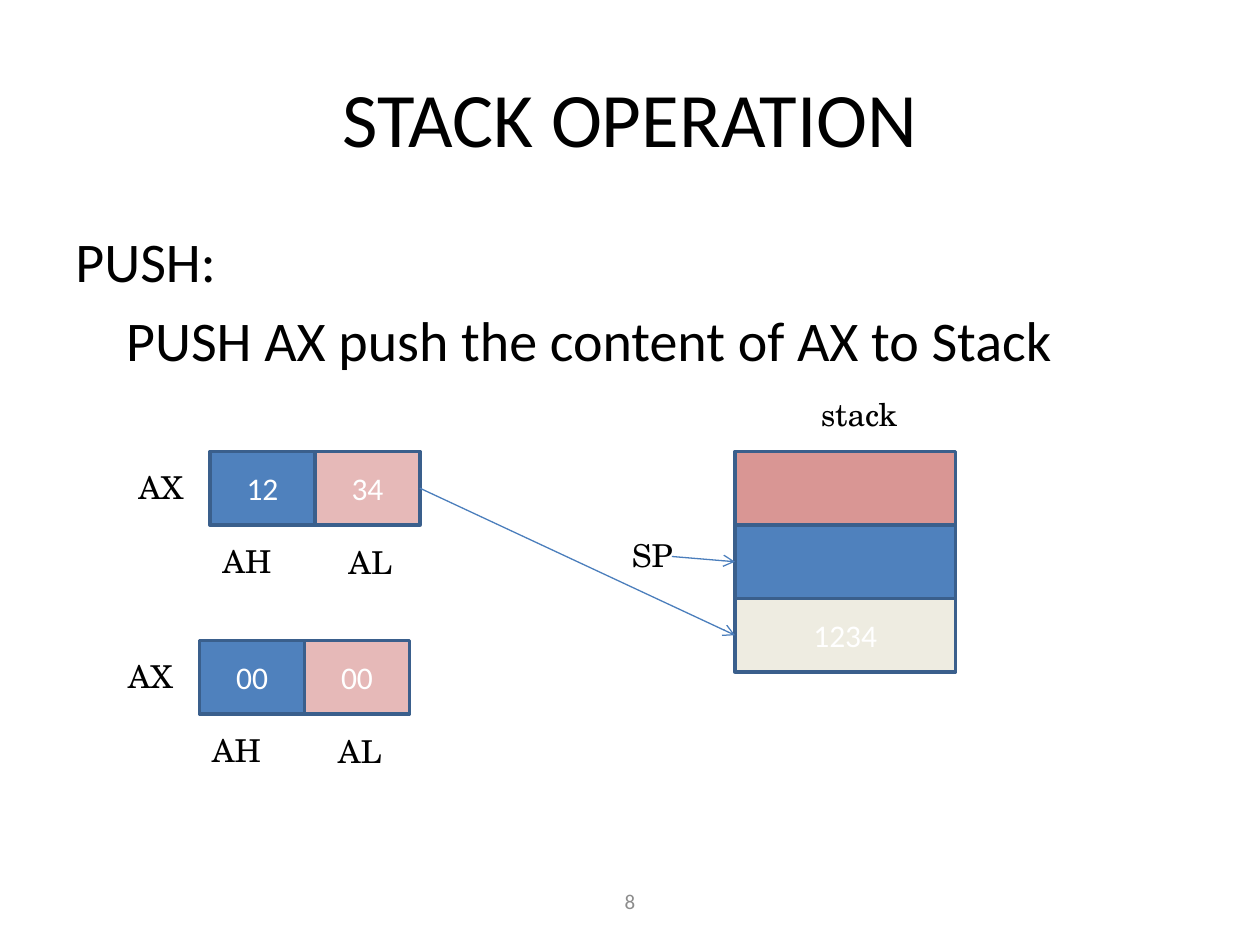
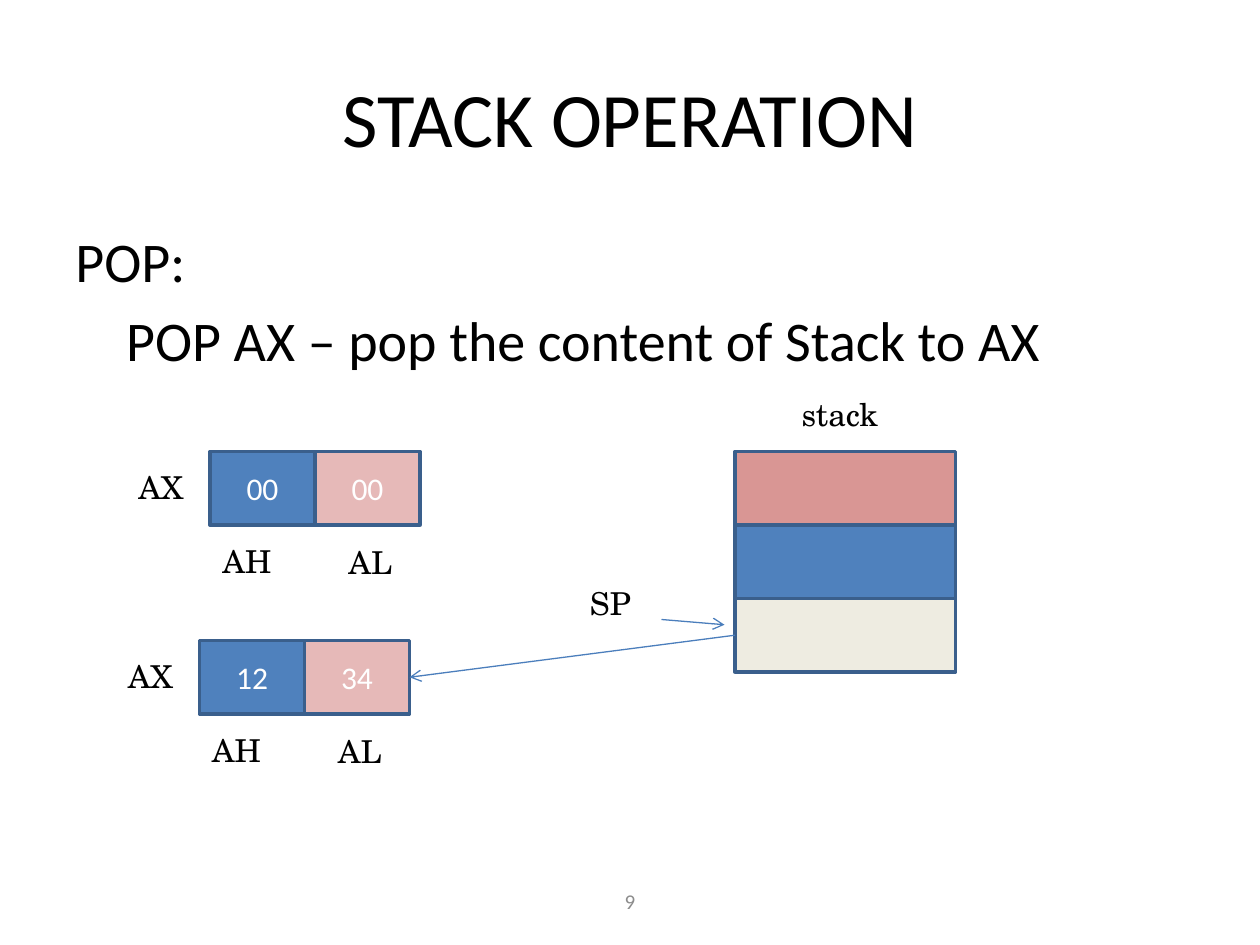
from lxml import etree
from pptx import Presentation
from pptx.dml.color import RGBColor
from pptx.enum import shapes, text
from pptx.oxml.ns import qn
from pptx.util import Pt

BLUE, PINK, ROSE, CREAM = "4F81BD", "E6B9B8", "D99694", "EEECE1"
EDGE, ARROW, BLACK, WHITE, GREY = "3A5F8C", "4B7EBC", "000000", "FFFFFF", "8C8C8C"
SANS, SERIF = "Calibri", "TeX Gyre Schola"
CELL_W, CELL_H, STACK_W = 60, 42, 126
STACK_X, TOP = 420, 258
REGISTERS = [(120, TOP), (114, 366)]

# What differs between the slides: arrows are (x1, y1, x2, y2)
SLIDES = [
    dict(number="8", body=["PUSH:", "PUSH AX push the content of AX to Stack"],
         registers=[("12", "34"), ("00", "00")], stack=["", "", "1234"],
         stack_label_x=462, sp_at=(354, 303),
         arrows=[(240, 279, 420, 363), (384, 318, 420, 321)]),
    dict(number="9", body=["POP:", "POP AX – pop the content of Stack to AX"],
         registers=[("00", "00"), ("12", "34")], stack=["", "", ""],
         stack_label_x=451, sp_at=(330, 330),
         arrows=[(378, 354, 414, 357), (420, 363, 234, 387)]),
]


def rgb(value):
    return RGBColor.from_string(value)


def add_text(s, lines, x, y, w, h, size=18, font=SERIF, color=BLACK,
             align=text.PP_ALIGN.LEFT, anchor=text.MSO_ANCHOR.TOP, fill=None):
    """Add a text box, or an outlined cell when a fill is given."""
    box = Pt(x), Pt(y), Pt(w), Pt(h)
    if fill:
        sp = s.shapes.add_shape(shapes.MSO_SHAPE.RECTANGLE, *box)
        sp.shadow.inherit = False
        sp.fill.solid()
        sp.fill.fore_color.rgb = rgb(fill)
        sp.line.color.rgb = rgb(EDGE)
        sp.line.width = Pt(2)
    else:
        sp = s.shapes.add_textbox(*box)
    tf = sp.text_frame
    tf.word_wrap = True
    tf.vertical_anchor = anchor
    tf.text = lines
    for p in tf.paragraphs:
        p.alignment = align
        p.font.size = Pt(size)
        p.font.name = font
        p.font.color.rgb = rgb(color)
    return tf


prs = Presentation()
prs.slide_width, prs.slide_height = Pt(720), Pt(540)
centred = dict(font=SANS, align=text.PP_ALIGN.CENTER, anchor=text.MSO_ANCHOR.MIDDLE)

for data in SLIDES:
    s = prs.slides.add_slide(prs.slide_layouts[6])

    # Title, body and slide number
    add_text(s, "STACK OPERATION", 36, 21.6, 648, 90, size=44, **centred)
    tf = add_text(s, "\n".join(data["body"]), 36, 126, 588, 384, size=32, font=SANS)
    p = tf.paragraphs[1]
    p.space_before = Pt(6.4)
    p._p.get_or_add_pPr().set("marL", str(Pt(29)))
    add_text(s, data["number"], 246, 500.5, 228, 28.8, size=12, color=GREY, **centred)

    # AX registers with their labels
    for (x, y), values in zip(REGISTERS, data["registers"]):
        for i, (value, fill) in enumerate(zip(values, (BLUE, PINK))):
            add_text(s, value, x + i * CELL_W, y, CELL_W, CELL_H,
                     color=WHITE, fill=fill, **centred)
        for label, dx, dy in [("AX", -48, 6), ("AH", 0, 48), ("AL", 72, 48.7)]:
            add_text(s, label, x + dx, y + dy, 56, 29)

    # Stack and stack pointer
    for i, (value, fill) in enumerate(zip(data["stack"], (ROSE, BLUE, CREAM))):
        add_text(s, value, STACK_X, TOP + i * CELL_H, STACK_W, CELL_H,
                 color=WHITE, fill=fill, **centred)
    add_text(s, "stack", data["stack_label_x"], 222, 68, 29)
    add_text(s, "SP", *data["sp_at"], 54, 29)

    # Arrows
    for ends in data["arrows"]:
        c = s.shapes.add_connector(shapes.MSO_CONNECTOR.STRAIGHT, *map(Pt, ends))
        c.line.color.rgb = rgb(ARROW)
        c.line.width = Pt(0.75)
        etree.SubElement(c.line._get_or_add_ln(), qn("a:tailEnd"), type="arrow")
        etree.SubElement(c._element.spPr, qn("a:effectLst"))

prs.save("out.pptx")
